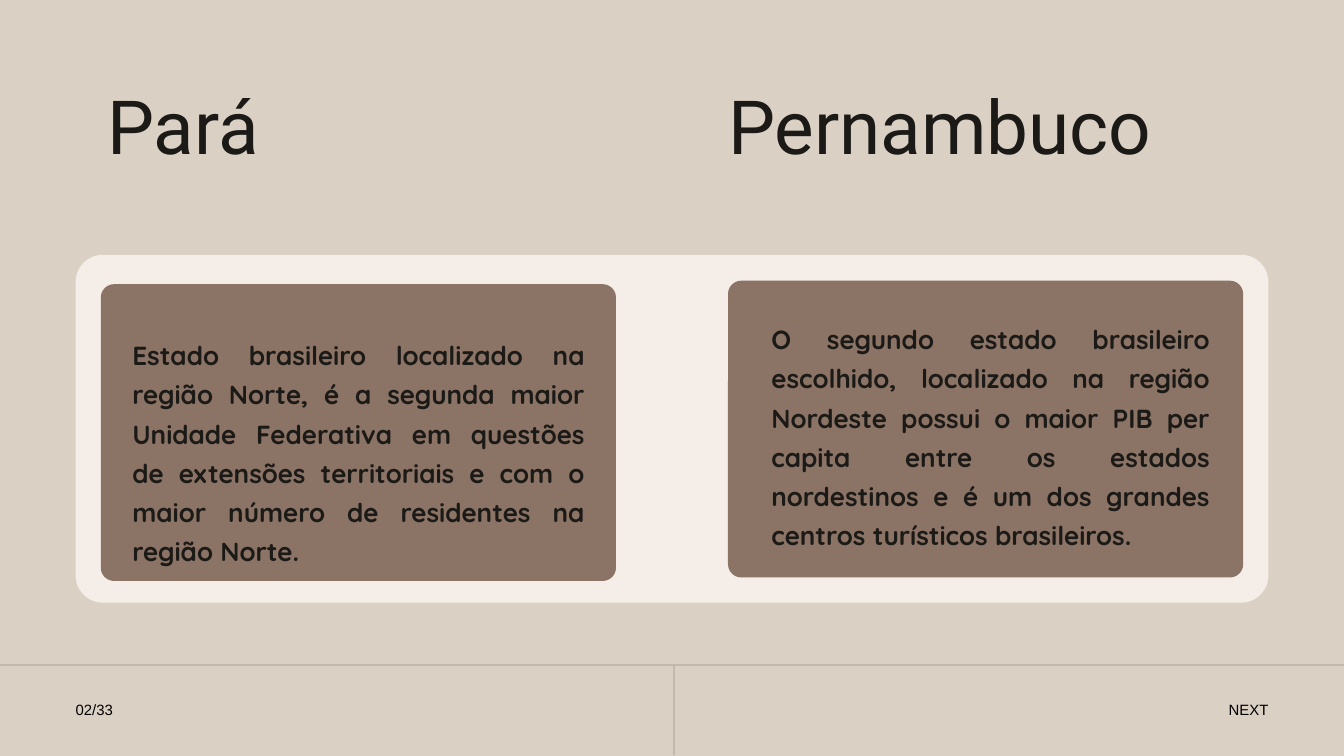
import pptx
import pptx.util
import pptx.dml.color
import pptx.enum.shapes
import pptx.enum.text
import pptx.oxml
import pptx.oxml.ns

PX = 9525
SAND = pptx.dml.color.RGBColor(0xDB, 0xD0, 0xC4)
CREAM = pptx.dml.color.RGBColor(0xF4, 0xED, 0xE8)
BROWN = pptx.dml.color.RGBColor(0x8B, 0x73, 0x65)
INK = pptx.dml.color.RGBColor(0x1B, 0x1A, 0x17)
BLACK = pptx.dml.color.RGBColor(0, 0, 0)
ALIGN = pptx.enum.text.PP_ALIGN
HEADING = dict(font="Roboto", size=80, leading=112, color=INK)
BODY = dict(font="Quicksand", size=28, leading=42, color=INK, bold=True,
            align=ALIGN.JUSTIFY)
FOOTER = dict(font="Arial", size=16, leading=22.4, color=BLACK)


def px(*values):
    return [pptx.util.Emu(value * PX) for value in values]


def write_text(box, text, *, font, size, leading, color, bold=False, align=ALIGN.LEFT):
    frame = box.text_frame
    frame.margin_left = frame.margin_top = frame.margin_right = frame.margin_bottom = 0
    frame.word_wrap = True
    frame.vertical_anchor = pptx.enum.text.MSO_ANCHOR.TOP
    frame.auto_size = pptx.enum.text.MSO_AUTO_SIZE.SHAPE_TO_FIT_TEXT
    para = frame.paragraphs[0]
    para.alignment = align
    para.line_spacing = pptx.util.Pt(leading)
    para.space_before = para.space_after = pptx.util.Pt(0)
    span = para.add_run()
    span.text = text
    span.font.name = font
    span.font.size = pptx.util.Pt(size)
    span.font.bold = bold
    span.font.color.rgb = color


def fill_placeholder(page, index, text, bounds, **style):
    box = next(item for item in page.placeholders
               if item.placeholder_format.idx == index)
    box.left, box.top, box.width, box.height = px(*bounds)
    write_text(box, text, **style)
    properties = box.text_frame.paragraphs[0]._p.get_or_add_pPr()
    properties.set("marL", "0")
    properties.set("indent", "0")
    properties.append(pptx.oxml.parse_xml(
        f"<a:buNone {pptx.oxml.ns.nsdecls('a')}/>"))
    box._element.getparent().append(box._element)


def add_label(page, text, bounds, **style):
    box = page.shapes.add_textbox(*px(*bounds))
    write_text(box, text, **style)


def add_rounded_box(page, bounds, radius, color):
    box = page.shapes.add_shape(
        pptx.enum.shapes.MSO_SHAPE.ROUNDED_RECTANGLE, *px(*bounds))
    box.adjustments[0] = radius / min(bounds[2:])
    box.shadow.inherit = False
    box.fill.solid()
    box.fill.fore_color.rgb = color
    box.line.fill.background()


def add_rule(page, *ends):
    rule = page.shapes.add_connector(
        pptx.enum.shapes.MSO_CONNECTOR.STRAIGHT, *px(*ends))
    rule.line.width = pptx.util.Pt(0.75)
    rule.line.color.rgb = BLACK
    namespace = pptx.oxml.ns.nsdecls("a")
    color = rule._element.spPr.find(".//" + pptx.oxml.ns.qn("a:srgbClr"))
    color.append(pptx.oxml.parse_xml(f'<a:alpha {namespace} val="30000"/>'))
    rule._element.spPr.append(pptx.oxml.parse_xml(f"<a:effectLst {namespace}/>"))


def main():
    deck = pptx.Presentation()
    deck.slide_width, deck.slide_height = px(1920, 1080)
    page = deck.slides.add_slide(deck.slide_layouts.get_by_name("Comparison"))
    page.background.fill.solid()
    page.background.fill.fore_color.rgb = SAND

    add_rounded_box(page, (108, 364, 1704, 497), 39, CREAM)
    for left, top in ((144, 406), (1040, 401)):
        add_rounded_box(page, (left, top, 736, 424), 19, BROWN)
    add_rule(page, 0, 950, 1920, 950)
    add_rule(page, 963, 951, 963, 1079)

    fill_placeholder(page, 0, "Pará", (153, 92, 719, 151), **HEADING)
    fill_placeholder(
        page, 2,
        "Estado brasileiro localizado na região Norte, é a segunda maior Unidade "
        "Federativa em questões de extensões territoriais e com o maior número de "
        "residentes na região Norte.",
        (189, 474, 646, 277), **BODY)
    fill_placeholder(page, 3, "Pernambuco", (1040, 92, 719, 151), **HEADING)
    fill_placeholder(
        page, 4,
        "O segundo estado brasileiro escolhido, localizado na região Nordeste possui "
        "o maior PIB per capita entre os estados nordestinos e é um dos grandes "
        "centros turísticos brasileiros.",
        (1102, 451, 626, 334), **BODY)
    add_label(page, "02/33", (108, 997, 250, 29), **FOOTER)
    add_label(page, "NEXT", (1562, 997, 250, 29), align=ALIGN.RIGHT, **FOOTER)

    for box in list(page.placeholders):
        if not box.text_frame.text:
            box._element.getparent().remove(box._element)
    deck.save("out.pptx")


if __name__ == "__main__":
    main()
